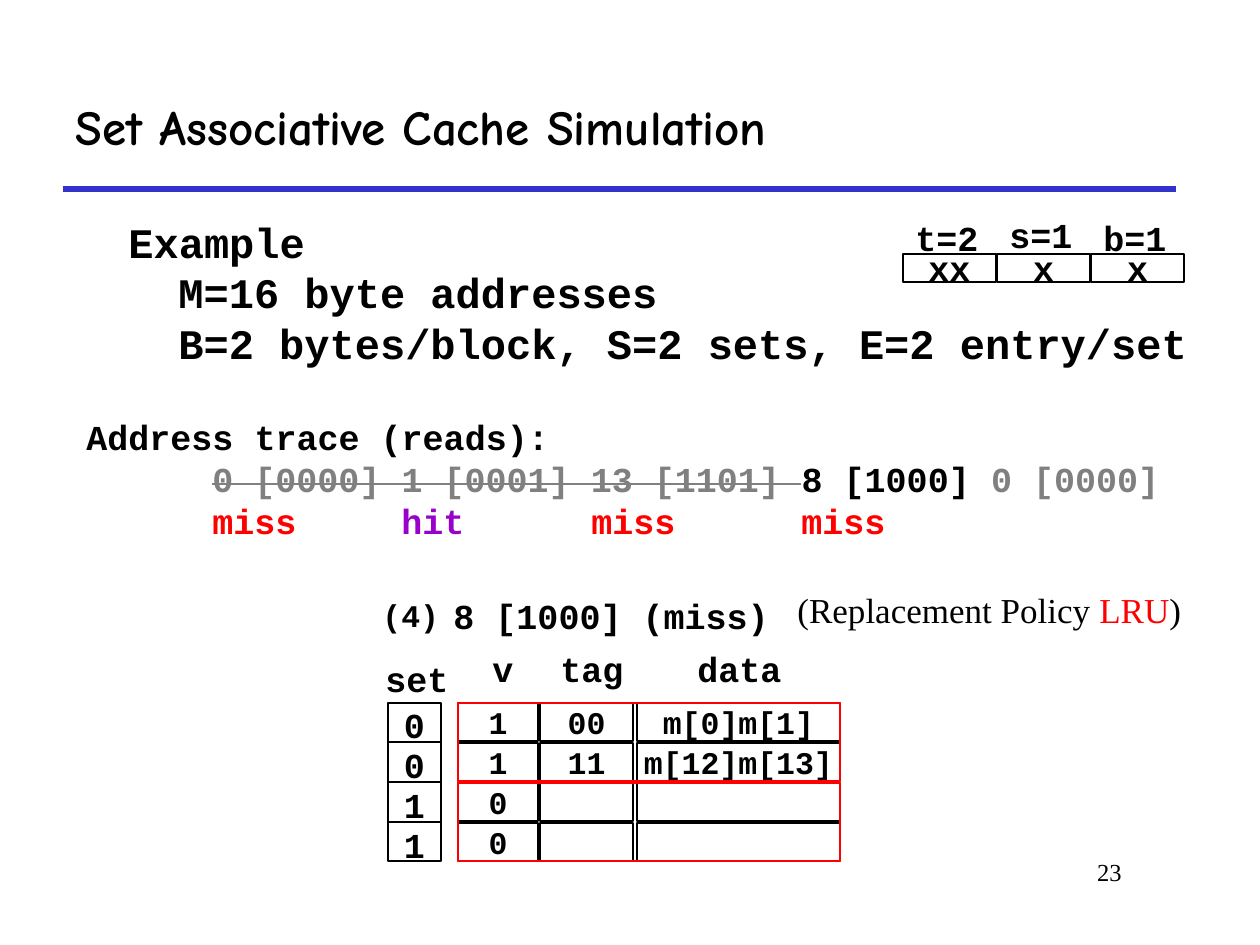
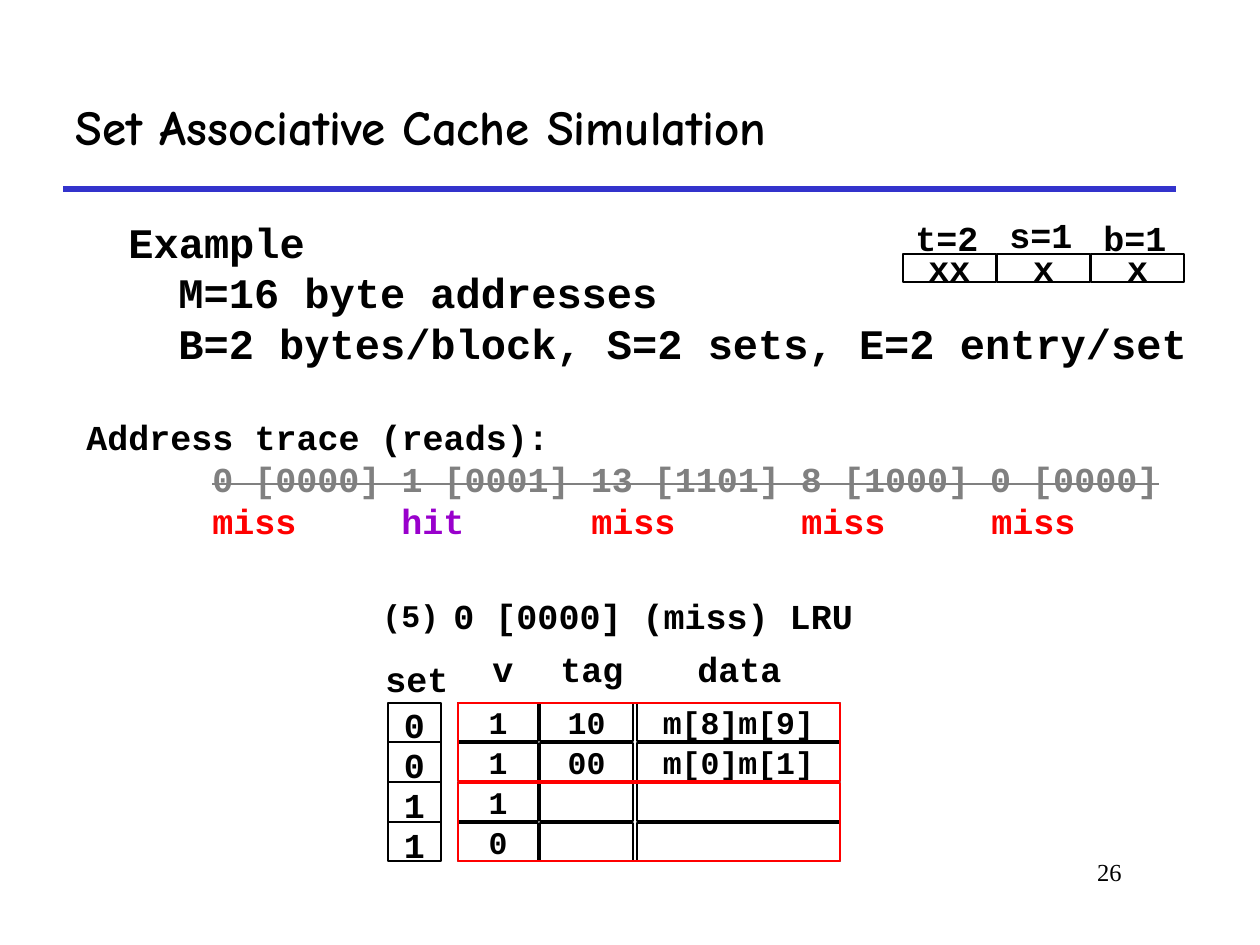
from dataclasses import dataclass

from pptx import Presentation, util as u
from pptx.dml.color import RGBColor
from pptx.enum import shapes, text
from pptx.oxml.ns import qn
from lxml import etree

SCALE = 914400 / 126


@dataclass(frozen=True)
class Theme:
    black: str = "000000"
    white: str = "FFFFFF"
    gray: str = "808080"
    red: str = "FF0000"
    purple: str = "9900CC"
    blue: str = "3333CC"
    code_font: str = "Courier New"
    title_font: str = "Comic Neue"
    serif_font: str = "Times New Roman"
    title: int = 28
    body: int = 24
    label: int = 20
    cell: int = 18
    footer: int = 14


theme = Theme()


def add_item(slide, box, lines=(), size=theme.label, font=theme.code_font, bold=True,
             align="LEFT", anchor="TOP", wrap=False, fill=None, line=None, weight=1,
             tabs=(), indent=0):
    left, top, width, height = (round(value * SCALE) for value in box)
    if line:
        shape = slide.shapes.add_shape(shapes.MSO_SHAPE.RECTANGLE, left, top, width, height)
        shape.shadow.inherit = False
        shape.line.color.rgb = RGBColor.from_string(line)
        shape.line.width = u.Pt(weight)
        if fill:
            shape.fill.solid()
            shape.fill.fore_color.rgb = RGBColor.from_string(fill)
        else:
            shape.fill.background()
    else:
        shape = slide.shapes.add_textbox(left, top, width, height)
    frame = shape.text_frame
    frame.word_wrap = wrap
    frame.vertical_anchor = text.MSO_ANCHOR[anchor]
    for number, runs in enumerate(lines):
        paragraph = frame.paragraphs[0] if number == 0 else frame.add_paragraph()
        paragraph.alignment = text.PP_ALIGN[align]
        properties = paragraph._p.get_or_add_pPr()
        if indent and number:
            properties.set("marL", str(round(indent * SCALE)))
            properties.set("indent", "0")
        if tabs:
            tab_list = etree.SubElement(properties, qn("a:tabLst"))
            for tab in tabs:
                etree.SubElement(tab_list, qn("a:tab"), pos=str(round(tab * SCALE)), algn="l")
        paragraph.font.name = font
        paragraph.font.size = u.Pt(size)
        paragraph.font.bold = bold
        for content, color, struck in [(runs, theme.black, False)] if isinstance(runs, str) else runs:
            run = paragraph.add_run()
            run.text = content
            run.font.color.rgb = RGBColor.from_string(color)
            if struck:
                run._r.get_or_add_rPr().set("strike", "sngStrike")
    return shape


def add_line(slide, left, right, y, color, weight):
    start, end, level = (round(value * SCALE) for value in (left, right, y))
    line = slide.shapes.add_connector(shapes.MSO_CONNECTOR.STRAIGHT, start, level, end, level)
    line.line.color.rgb = RGBColor.from_string(color)
    line.line.width = u.Pt(weight)
    etree.SubElement(line._element.spPr, qn("a:effectLst"))
    return line


presentation = Presentation()
presentation.slide_width = round(1260 * SCALE)
presentation.slide_height = round(945 * SCALE)

address_fields = [("t=2", "xx", 210), ("s=1", "x", 207), ("b=1", "x", 210)]
columns = [("v", 480, 458, 80), ("tag", 548, 540, 93), ("data", 685, 637, 203)]
set_numbers = "0011"
table_top, row_pitch = 703, 40
trace_tabs = [126, 315, 505, 715, 905]
miss, hit = ("miss", theme.red, False), ("hit", theme.purple, False)

steps = [
    dict(page="23", number="(4)", access="8 [1000] (miss)", policy=True,
         trace=[("\t0 [0000] 1 [0001] 13 [1101] ", theme.gray, True),
                ("8 [1000] ", theme.black, False), ("0 [0000]", theme.gray, False)],
         results=[miss, hit, miss, miss],
         rows=[("1", "00", "m[0]m[1]"), ("1", "11", "m[12]m[13]"), ("0", "", ""), ("0", "", "")]),
    dict(page="26", number="(5)", access="0 [0000] (miss) LRU", policy=False,
         trace=[("\t0 [0000] 1 [0001] 13 [1101] 8 [1000] 0 [0000]", theme.gray, True)],
         results=[miss, hit, miss, miss, miss],
         rows=[("1", "10", "m[8]m[9]"), ("1", "00", "m[0]m[1]"), ("1", "", ""), ("0", "", "")]),
]

for step in steps:
    slide = presentation.slides.add_slide(presentation.slide_layouts[6])
    add_line(slide, 63, 1176, 189, theme.blue, 3)
    add_item(slide, (955, 851, 179, 63), [step["page"]], theme.footer, theme.serif_font,
             bold=False, align="RIGHT", wrap=True)
    add_item(slide, (63, 63, 1113, 126), ["Set Associative Cache Simulation"], theme.title,
             theme.title_font, anchor="MIDDLE", wrap=True)
    add_item(slide, (116, 210, 1092, 168),
             ["Example", "M=16 byte addresses", "B=2 bytes/block, S=2 sets, E=2 entry/set"],
             theme.body, wrap=True, indent=50)
    results = [("\t" + word, color, struck) for word, color, struck in step["results"]]
    add_item(slide, (74, 409, 1144, 140), ["Address trace (reads):", step["trace"], results],
             wrap=True, tabs=trace_tabs)

    for index, (name, bits, top) in enumerate(address_fields):
        left = 903 + index * 94
        add_item(slide, (left, 254, 93, 28), [bits], align="CENTER", anchor="MIDDLE",
                 fill=theme.white, line=theme.black)
        add_item(slide, (left, top, 100, 54), [name])

    add_item(slide, (370, 590, 90, 50), [step["number"]], theme.cell)
    add_item(slide, (441, 588, 460, 54), [step["access"]])
    if step["policy"]:
        add_item(slide, (785, 582, 420, 55),
                 [[("(Replacement Policy ", theme.black, False), ("LRU", theme.red, False),
                   (")", theme.black, False)]], font=theme.serif_font, bold=False)

    for index, (heading, heading_left, left, width) in enumerate(columns):
        add_item(slide, (heading_left, 641, 130, 54), [heading])
        for row, values in enumerate(step["rows"]):
            add_item(slide, (left, table_top + row * row_pitch, width, 38),
                     [values[index]] if values[index] else [], theme.cell,
                     align="CENTER", anchor="MIDDLE", fill=theme.white, line=theme.black)
    for pair in range(2):
        add_item(slide, (458, table_top + pair * 2 * row_pitch, 382, 78), line=theme.red, weight=1.5)

    add_item(slide, (373, 651, 100, 55), ["set"])
    set_column = add_item(slide, (388, table_top, 53, 4 * row_pitch - 2), line=theme.black, weight=0.75)
    for row, set_number in enumerate(set_numbers):
        if row:
            divider = add_line(slide, 388, 441, table_top - 1 + row * row_pitch, theme.black, 0.75)
            if row == 2:
                divider.begin_connect(set_column, 1)
                divider.end_connect(set_column, 3)
        add_item(slide, (388, 697 + row * row_pitch, 53, 69), [set_number], align="CENTER")

presentation.save("out.pptx")
